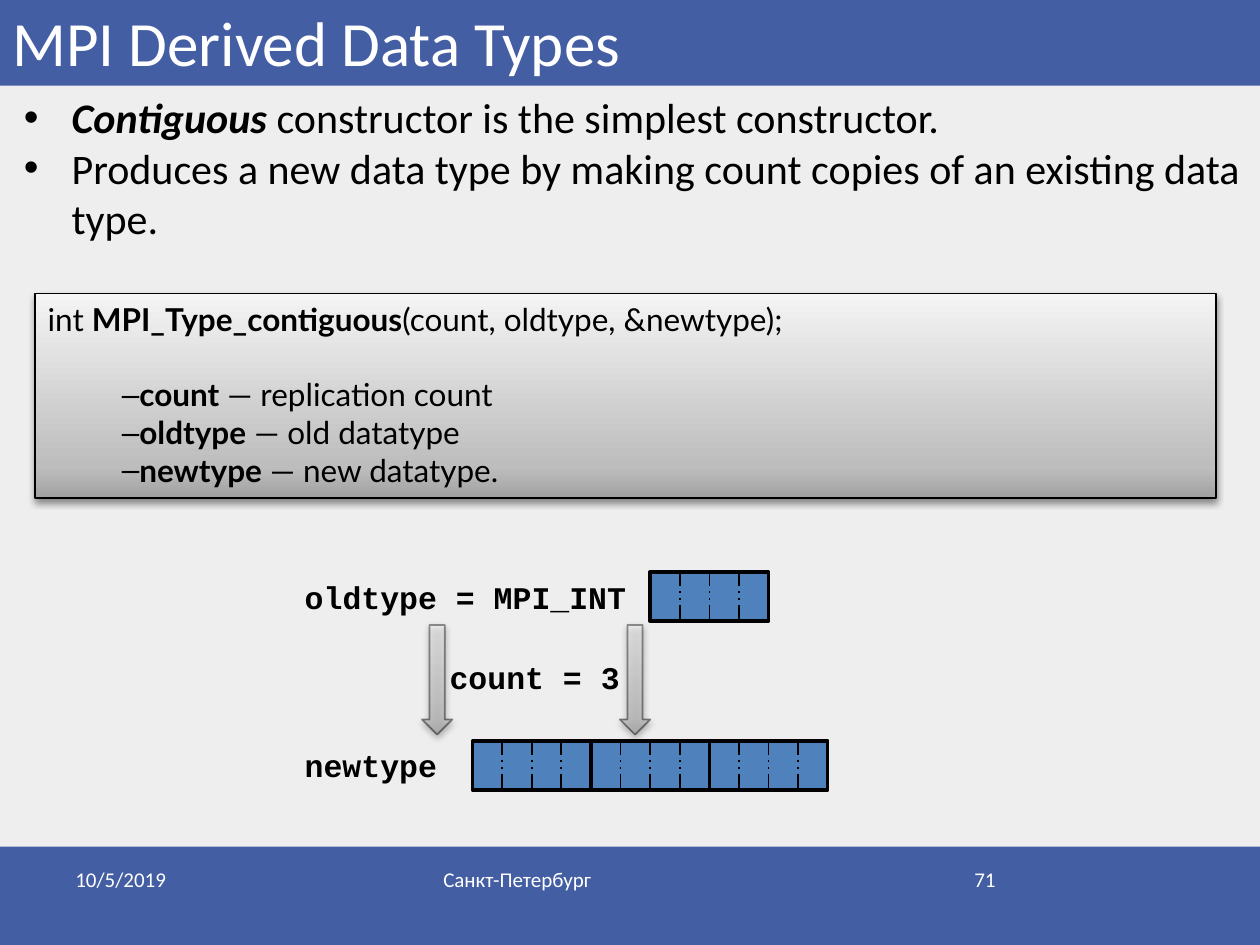
from lxml import etree
from pptx import Presentation
from pptx import util as u
from pptx.dml.color import RGBColor
from pptx.enum import dml, shapes, text
from pptx.oxml import parse_xml
from pptx.oxml.ns import nsdecls, qn

THEME = {
    "back": "EEEEEE", "bar": "445EA4", "cell": "4F81BD", "ink": "000000",
    "light": "FFFFFF", "steel": [(0, "A2A2A2"), (15, "BDBDBD"), (100, "F4F4F4")],
    "body": {"name": "Calibri", "size": 24, "color": "ink"},
    "title": {"name": "Calibri", "size": 36, "color": "light"},
    "foot": {"name": "Calibri", "size": 12, "color": "light"},
    "code": {"name": "Lato", "size": 18, "color": "ink"},
    "mono": {"name": "Courier New", "size": 18, "color": "ink", "bold": True},
}
BOLD = {"bold": True}
BOTH = {"bold": True, "italic": True}

# Boxes are left, top, width, height in percent of the slide.
BARS = [(0, 89.6, 100, 10.4), (0, 0, 100, 9.07)]
TITLE = ((0, -2.8, 100, 11.87), "MPI Derived Data Types")
FOOT = [
    ((5, 91.07, 23.3, 6.93), "10/5/2019", "LEFT"),
    ((71.7, 91.07, 8.3, 6.93), "71", "RIGHT"),
    ((34.2, 91.07, 31.7, 6.93), "Санкт-Петербург", "LEFT"),
]
BODY_BOX = (0.9, 9.07, 99.1, 28.4)
BODY = [
    [("Contiguous ", BOTH), ("constructor is the simplest constructor.", {})],
    [("Produces a new data type by making count copies of an existing data type.", {})],
]
CODE_BOX = (2.8, 31.07, 93.7, 21.6)
CALL = [("int ", {}), ("MPI_Type_contiguous", BOLD), ("(count, oldtype, &newtype);", {})]
ARGS = [("count", "replication count"), ("oldtype", "old datatype"), ("newtype", "new datatype.")]
LABELS = [
    ((23.2, 60.53, 27.8, 5.33), "oldtype = MPI_INT"),
    ((23.2, 78.27, 12.6, 5.33), "newtype"),
    ((34.7, 68.93, 15.7, 5.33), "count = 3"),
]
ARROWS = [(x, 66.13, 2.4, 11.6) for x in (33.5, 49.2)]

# Memory blocks: four columns each; rows hold (first column, top, block count).
COL, LEFT, TALL, PARTS = 2.35, 37.5, 5.2, 4
ROWS = [(6, 60.53, 1), (0, 78.4, 3)]

deck = Presentation()
deck.slide_width, deck.slide_height = u.Inches(10), u.Inches(7.5)
slide = deck.slides.add_slide(deck.slide_layouts[6])


def place(box):
    sides = (deck.slide_width, deck.slide_height) * 2
    return [round(part * side / 100) for part, side in zip(box, sides)]


def tint(name):
    return RGBColor.from_string(THEME[name])


def style(font, form):
    for key, val in form.items():
        if key == "color":
            font.color.rgb = tint(val)
        else:
            setattr(font, key, u.Pt(val) if key == "size" else val)


def fill_para(para, runs, form, mark=None, left=0, hang=0):
    """Write runs, with a bullet when a mark is given."""
    if mark:
        props = para._p.get_or_add_pPr()
        props.set("marL", str(u.Inches(left)))
        props.set("indent", str(u.Inches(hang)))
        etree.SubElement(props, qn("a:buFont")).set("typeface", "Arial")
        etree.SubElement(props, qn("a:buChar")).set("char", mark)
    for words, extra in runs:
        run = para.add_run()
        run.text = words
        style(run.font, {**form, **extra})


def add_text(box, words, form, wrap=True, align="LEFT", anchor="TOP"):
    frame = slide.shapes.add_textbox(*place(box)).text_frame
    frame.word_wrap = wrap
    frame.vertical_anchor = getattr(text.MSO_ANCHOR, anchor)
    para = frame.paragraphs[0]
    para.alignment = getattr(text.PP_ALIGN, align)
    fill_para(para, [(words, {})] if words else [], form)
    return frame


def add_box(box, fill=None, line=0, kind="RECTANGLE"):
    shape = slide.shapes.add_shape(getattr(shapes.MSO_SHAPE, kind), *place(box))
    shape.shadow.inherit = False
    if fill:
        shape.fill.solid()
        shape.fill.fore_color.rgb = tint(fill)
    if line:
        shape.line.color.rgb = tint("ink")
        shape.line.width = u.Pt(line)
    else:
        shape.line.fill.background()
    return shape


def add_steel(box, kind, alpha=100, edge=100):
    """Add a grey gradient shape with a soft drop shadow."""
    shape = add_box(box, line=1, kind=kind)
    props = shape._element.spPr
    stops = "".join(
        f'<a:gs pos="{pos * 1000}"><a:srgbClr val="{shade}">'
        f'<a:alpha val="{alpha * 1000}"/></a:srgbClr></a:gs>'
        for pos, shade in THEME["steel"])
    props.find(qn("a:prstGeom")).addnext(parse_xml(
        f'<a:gradFill {nsdecls("a")} rotWithShape="1"><a:gsLst>{stops}</a:gsLst>'
        '<a:lin ang="16200000" scaled="0"/></a:gradFill>'))
    ink = props.find(qn("a:ln")).find(".//" + qn("a:srgbClr"))
    etree.SubElement(ink, qn("a:alpha")).set("val", str(edge * 1000))
    props.find(qn("a:effectLst")).append(parse_xml(
        f'<a:outerShdw {nsdecls("a")} blurRad="{u.Pt(4)}" dist="{u.Pt(2)}" '
        f'dir="5400000" rotWithShape="0"><a:srgbClr val="{THEME["ink"]}">'
        '<a:alpha val="43000"/></a:srgbClr></a:outerShdw>'))
    return shape


def add_block(left, top):
    block = add_box((left, top, PARTS * COL, TALL), "cell", 2)
    for part in range(1, PARTS):
        x = left + part * COL
        ends = place((x, top, x, top + TALL))
        line = slide.shapes.add_connector(shapes.MSO_CONNECTOR.STRAIGHT, *ends)
        if 2 * part == PARTS:
            line.begin_connect(block, 0)
            line.end_connect(block, 2)
        line.line.color.rgb = tint("ink")
        line.line.width = u.Pt(1)
        line.line.dash_style = dml.MSO_LINE.DASH_DOT_DOT
        etree.SubElement(line._element.spPr, qn("a:effectLst"))


slide.background.fill.solid()
slide.background.fill.fore_color.rgb = tint("back")
for bar in BARS:
    add_box(bar, "bar")
add_text(*TITLE, THEME["title"], anchor="BOTTOM")
for box, words, align in FOOT:
    add_text(box, words, THEME["foot"], align=align)

frame = add_text(BODY_BOX, "", THEME["body"])
for i, runs in enumerate(BODY):
    para = frame.add_paragraph() if i else frame.paragraphs[0]
    fill_para(para, runs, THEME["body"], "•", 0.38, -0.38)

frame = add_steel(CODE_BOX, "RECTANGLE").text_frame
frame.word_wrap = True
frame.vertical_anchor = text.MSO_ANCHOR.TOP
frame.paragraphs[0].alignment = text.PP_ALIGN.LEFT
fill_para(frame.paragraphs[0], CALL, THEME["code"])
for i, (name, gloss) in enumerate(ARGS):
    para = frame.add_paragraph()
    para.alignment = text.PP_ALIGN.LEFT
    para.space_before = u.Pt(0 if i else 21.6)
    fill_para(para, [(name, BOLD), (f" — {gloss}", {})], THEME["code"], "–", 0.31, 0.28)

for first, top, count in ROWS:
    for i in range(count):
        add_block(LEFT + (first + i * PARTS) * COL, top)
for box in ARROWS:
    add_steel(box, "DOWN_ARROW", 61, 42)
for box, words in LABELS:
    add_text(box, words, THEME["mono"], wrap=False)

deck.save("out.pptx")
